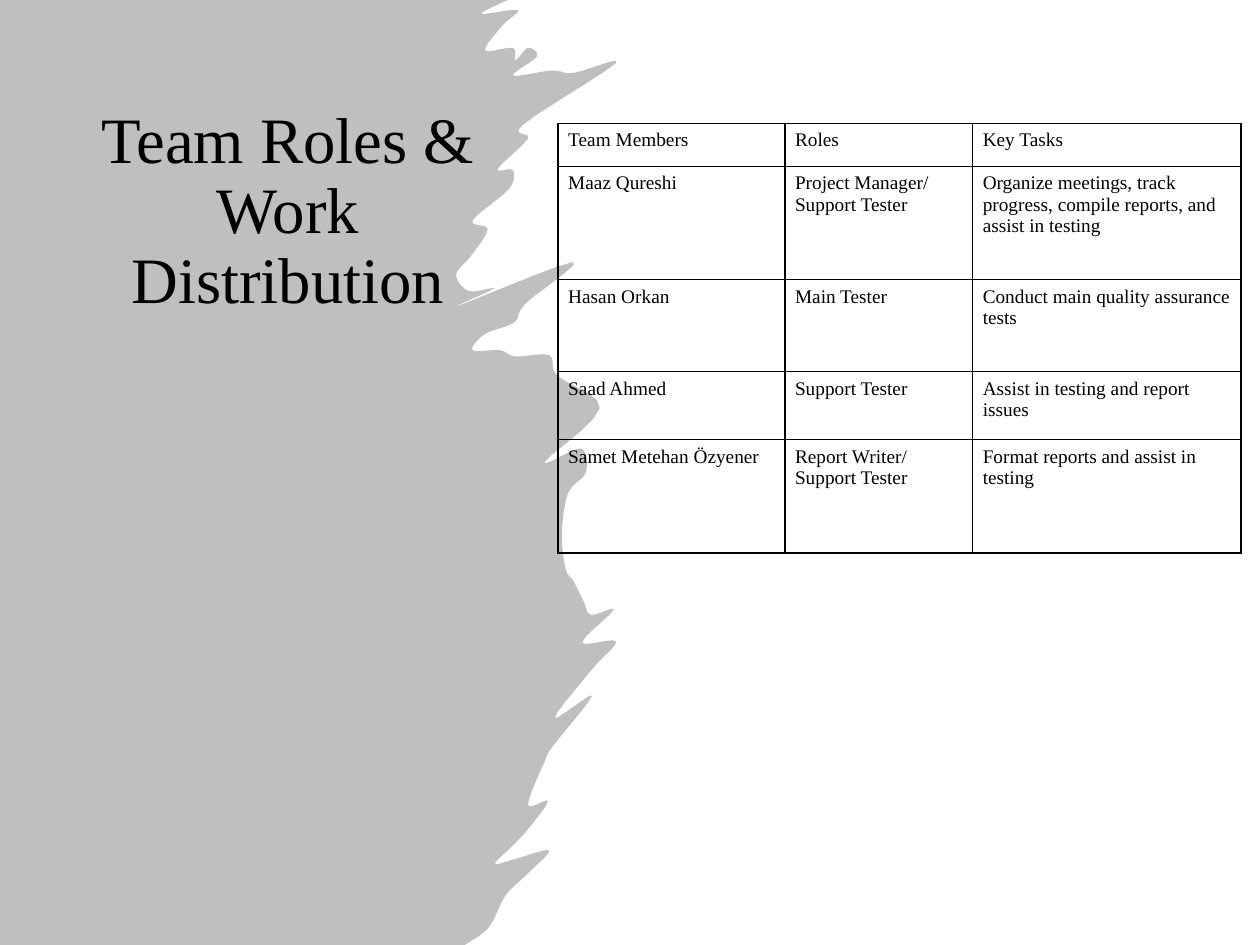
from typing import NamedTuple

from lxml.etree import SubElement
from pptx import Presentation
from pptx.dml.color import RGBColor
from pptx.enum.text import MSO_ANCHOR, PP_ALIGN
from pptx.oxml import parse_xml
from pptx.oxml.ns import nsdecls, qn
from pptx.util import Pt

PX = 9144  # EMU per px, 100 px to the inch
SLIDE_WIDTH, SLIDE_HEIGHT = 1000, 750
BLACK = RGBColor(0x00, 0x00, 0x00)
GRAY = RGBColor(0x80, 0x80, 0x80)
FONT = "Times New Roman"
CURVE_STEPS = 5


class Point(NamedTuple):
    x: float
    y: float


class Box(NamedTuple):
    left: int
    top: int
    width: int
    height: int


class Member(NamedTuple):
    name: str
    role: str
    tasks: str


TITLE_BOX = Box(69, 70, 319, 197)
TABLE_BOX = Box(443, 98, 542, 341)
COL_WIDTHS = (180, 149, 213)
ROW_HEIGHTS = (34, 90, 73, 54, 90)
ROWS = (
    Member("Team Members", "Roles", "Key Tasks"),
    Member("Maaz Qureshi", "Project Manager/ Support Tester",
           "Organize meetings, track progress, compile reports, and assist in testing"),
    Member("Hasan Orkan", "Main Tester", "Conduct main quality assurance tests"),
    Member("Saad Ahmed", "Support Tester", "Assist in testing and report issues"),
    Member("Samet Metehan Özyener", "Report Writer/ Support Tester",
           "Format reports and assist in testing"),
)

# Knots of the brush stroke's torn edge, from bottom to top.
TORN_EDGE = (
    (369, 750), (388, 736), (401, 711), (417, 695), (436, 675), (408, 682),
    (393, 685), (414, 664), (435, 636), (419, 639), (432, 605), (439, 592),
    (470, 552), (440, 570), (470, 531), (489, 509), (462, 510), (487, 484),
    (469, 488), (463, 477), (455, 461), (449, 452), (446, 423), (451, 391),
    (465, 375), (461, 356), (432, 367), (476, 324), (442, 298), (436, 282),
    (409, 283), (397, 278), (375, 278), (385, 265), (408, 256), (417, 241),
    (455, 208), (363, 243), (392, 229), (372, 231), (362, 218), (374, 203),
    (387, 182), (375, 175), (404, 150), (407, 135), (395, 134), (419, 110),
    (415, 99), (489, 50), (455, 58), (438, 56), (407, 60), (426, 45),
    (419, 38), (409, 48), (407, 38), (385, 40), (399, 20), (411, 8),
    (382, 11), (403, 0),
)


def emu(box: Box) -> list[int]:
    return [v * PX for v in box]


def smooth(knots: list[Point]) -> list[Point]:
    """Run a Catmull-Rom spline through the knots."""
    def at(t: float, a: float, b: float, c: float, d: float) -> float:
        return b + t / 2 * (c - a + t * (2 * a - 5 * b + 4 * c - d
                                         + t * (3 * (b - c) + d - a)))

    padded = [knots[0], *knots, knots[-1]]
    points = []
    for quad in zip(padded, padded[1:], padded[2:], padded[3:]):
        xs, ys = zip(*quad)
        for i in range(CURVE_STEPS):
            t = i / CURVE_STEPS
            points.append(Point(at(t, *xs), at(t, *ys)))
    return points + [knots[-1]]


def add_brush_stroke(s) -> None:
    edge = smooth([Point(*knot) for knot in TORN_EDGE])
    points = [Point(0, 0), Point(0, SLIDE_HEIGHT), *edge]
    first, *rest = [(p.x * PX, p.y * PX) for p in points]
    builder = s.shapes.build_freeform(*first)
    builder.add_line_segments(rest, close=True)
    sp = builder.convert_to_shape()
    sp.shadow.inherit = False
    sp.line.fill.background()
    sp.fill.solid()
    sp.fill.fore_color.rgb = GRAY
    color = sp.element.spPr.find(f".//{qn('a:srgbClr')}")
    SubElement(color, qn("a:alpha"), val="50000")


def write(tf, text: str, size: int, **paragraph_format) -> None:
    tf.word_wrap = True
    p = tf.paragraphs[0]
    for name, value in paragraph_format.items():
        setattr(p, name, value)
    r = p.add_run()
    r.text = text
    for name, value in {"name": FONT, "size": Pt(size), "bold": False}.items():
        setattr(r.font, name, value)
    r.font.color.rgb = BLACK


def add_title(s) -> None:
    tf = s.shapes.add_textbox(*emu(TITLE_BOX)).text_frame
    tf.vertical_anchor = MSO_ANCHOR.MIDDLE
    write(tf, "Team Roles & Work Distribution", 37,
          alignment=PP_ALIGN.CENTER, line_spacing=0.9)


def set_borders(cell) -> None:
    tc_pr = cell._tc.get_or_add_tcPr()
    for i, side in enumerate("LRTB"):
        tc_pr.insert(i, parse_xml(
            f'<a:ln{side} {nsdecls("a")} w="{int(Pt(1))}"><a:solidFill>'
            f'<a:srgbClr val="{BLACK}"/></a:solidFill></a:ln{side}>'))


def add_roles_table(s) -> None:
    table = s.shapes.add_table(len(ROWS), len(COL_WIDTHS), *emu(TABLE_BOX)).table
    table.first_row = table.horz_banding = False
    for col, width in zip(table.columns, COL_WIDTHS):
        col.width = width * PX
    margins = {"margin_left": 8, "margin_right": 8, "margin_top": 5, "margin_bottom": 5}
    for row, height, member in zip(table.rows, ROW_HEIGHTS, ROWS):
        row.height = height * PX
        for cell, text in zip(row.cells, member):
            for name, value in margins.items():
                setattr(cell, name, value * PX)
            cell.fill.background()
            set_borders(cell)
            write(cell.text_frame, text, 11)


def main() -> None:
    prs = Presentation()
    prs.slide_width, prs.slide_height = SLIDE_WIDTH * PX, SLIDE_HEIGHT * PX
    s = prs.slides.add_slide(prs.slide_layouts[6])
    add_brush_stroke(s)
    add_title(s)
    add_roles_table(s)
    prs.save("out.pptx")


if __name__ == "__main__":
    main()
